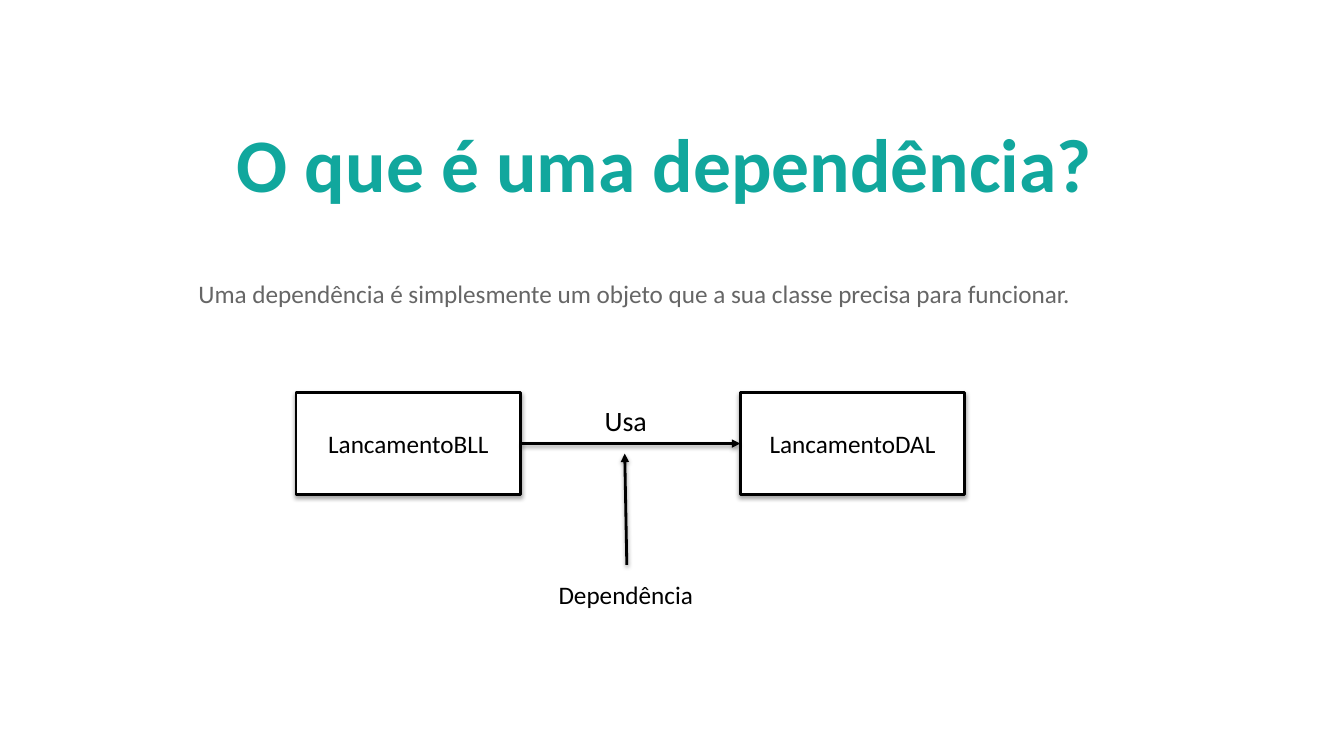
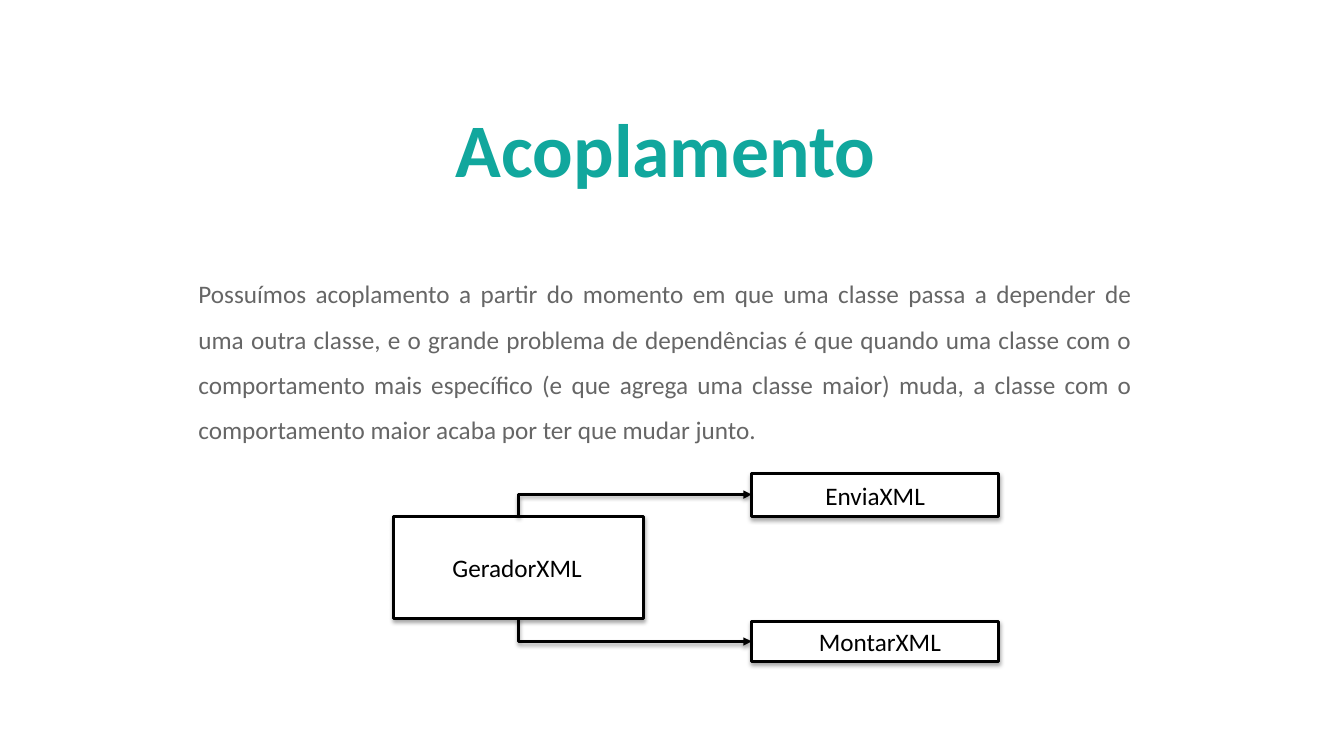
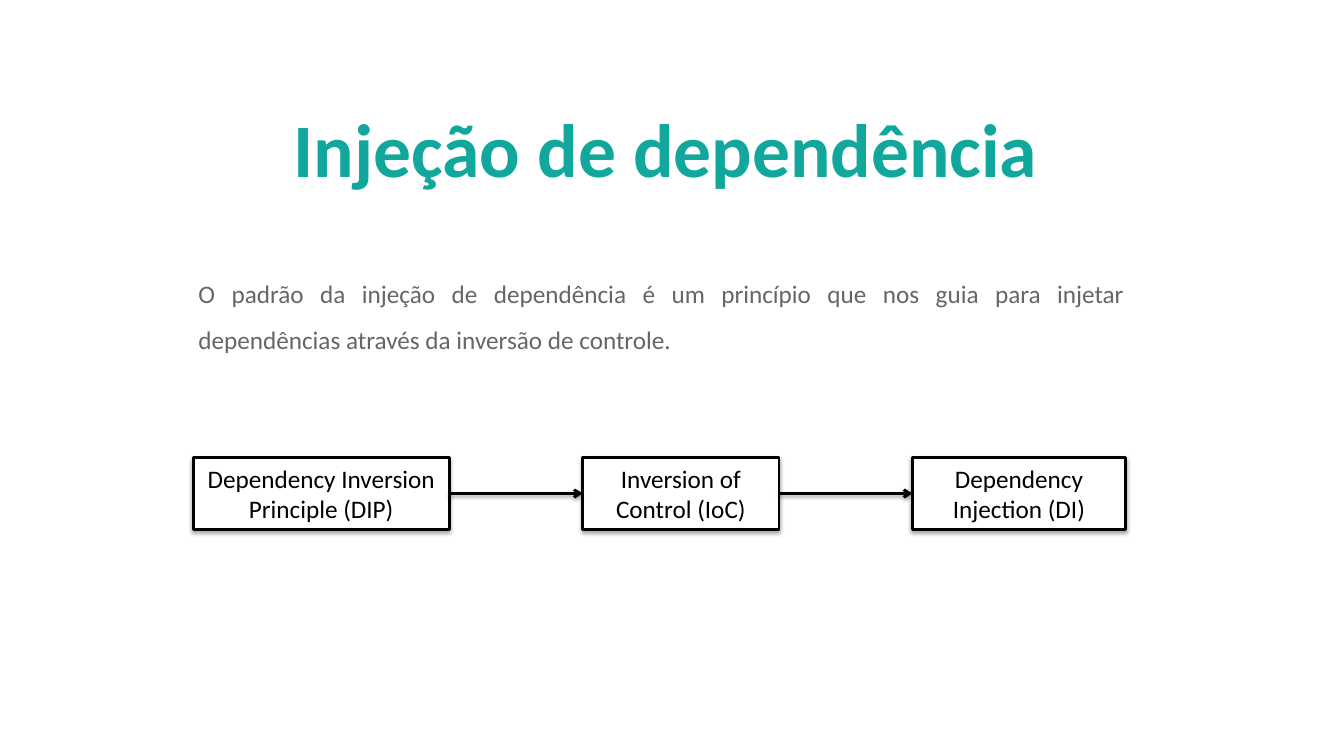
from collections import namedtuple

from pptx import Presentation
from pptx.dml.color import RGBColor
from pptx.enum.shapes import MSO_CONNECTOR as Link, MSO_SHAPE as Preset
from pptx.enum.text import MSO_ANCHOR as Anchor, MSO_AUTO_SIZE as Fit, PP_ALIGN as Align
from pptx.oxml.ns import qn
from pptx.oxml.xmlchemy import OxmlElement
from pptx.util import Pt

PX = 9525
FONT = "Calibri"
TEAL = RGBColor(0x11, 0xA7, 0x9D)
GRAY = RGBColor(0x66, 0x66, 0x66)
BLACK = RGBColor(0, 0, 0)
WHITE = RGBColor(0xFF, 0xFF, 0xFF)
INSET = 5

Box = namedtuple("Box", "left top width height")
BODY = Box(184, 246, 899, 192)
TITLE = Box(202, 80, 864, 120)


def px(*lengths):
    return [length * PX for length in lengths]


def add_node(parent, tag, **attributes):
    node = OxmlElement(tag)
    for name, value in attributes.items():
        node.set(name, str(value))
    parent.append(node)
    return node


def write(shape, text, size, color, align=Align.CENTER, anchor=Anchor.MIDDLE,
          bold=False, left=INSET, right=INSET):
    frame = shape.text_frame
    frame.word_wrap = True
    frame.auto_size = Fit.NONE
    frame.vertical_anchor = anchor
    frame.margin_left, frame.margin_right = px(left, right)
    frame.margin_top = frame.margin_bottom = INSET * PX
    para = frame.paragraphs[0]
    para.alignment = align
    span = para.add_run()
    span.text = text
    span.font.name = FONT
    span.font.size = Pt(size)
    span.font.bold = bold
    span.font.color.rgb = color
    return para


def place(shape, box):
    shape.left, shape.top, shape.width, shape.height = px(*box)


def add_page(deck, title, body, title_box=TITLE, body_box=BODY):
    page = deck.slides.add_slide(deck.slide_layouts[1])
    heading, content = page.placeholders
    place(heading, title_box)
    write(heading, title, 54, TEAL, bold=True)
    place(content, body_box)
    para = write(content, body, 18, GRAY, Align.JUSTIFY, Anchor.TOP)
    para.line_spacing = 1.5
    para.space_before = Pt(0)
    properties = para._p.get_or_add_pPr()
    properties.set("marL", "0")
    properties.set("indent", "0")
    add_node(properties, "a:buNone")
    return page


def add_shadow(effects, distance, opacity):
    shadow = add_node(effects, "a:outerShdw", blurRad=Pt(3), dist=Pt(distance),
                      dir=5400000, rotWithShape=0)
    color = add_node(shadow, "a:srgbClr", val=BLACK)
    add_node(color, "a:alpha", val=opacity * 1000)


def set_line(line):
    line.color.rgb = BLACK
    line.width = Pt(2)


def add_class(page, box, text, **insets):
    shape = page.shapes.add_shape(Preset.RECTANGLE, *px(*box))
    shape.fill.solid()
    shape.fill.fore_color.rgb = WHITE
    set_line(shape.line)
    shape.shadow.inherit = False
    add_shadow(shape.element.spPr.find(qn("a:effectLst")), 1.8, 35)
    write(shape, text, 18, BLACK, **insets)
    return shape


def add_arrow(page, start, end, kind=Link.STRAIGHT, tip="a:tailEnd", head="triangle"):
    arrow = page.shapes.add_connector(kind, *px(*start, *end))
    set_line(arrow.line)
    add_node(arrow.line._get_or_add_ln(), tip, type=head)
    add_shadow(add_node(arrow.element.spPr, "a:effectLst"), 1.6, 38)
    return arrow


def join(page, source, target, head="triangle"):
    arrow = add_arrow(page, (0, 0), (0, 0), head=head)
    arrow.begin_connect(source, 3)
    arrow.end_connect(target, 1)


def add_corner_arrow(page, corner_end, target):
    arrow = add_arrow(page, target, corner_end, Link.ELBOW, "a:headEnd")
    arrow.element.spPr.find(qn("a:prstGeom")).set("prst", "bentConnector2")


def add_label(page, axis, top, width, height, text, size):
    label = page.shapes.add_textbox(*px(axis - width // 2, top, width, height))
    write(label, text, size, BLACK, anchor=Anchor.TOP)


def draw_dependency(page, box):
    width, height = 214, 97
    user = add_class(page, Box(box.left, box.top, width, height), "LancamentoBLL")
    used = add_class(page, Box(box.left + box.width - width, box.top, width, height),
                     "LancamentoDAL")
    join(page, user, used)
    axis = box.left + box.width // 2 - 4
    add_arrow(page, (axis + 1, box.top + 164), (axis - 1, box.top + 58))
    add_label(page, axis, box.top + 173, 150, 38, "Dependência", 18)
    add_label(page, axis, box.top + 5, 60, 42, "Usa", 20)


def draw_coupling(page, box):
    generator = Box(box.left, box.top + 41, 238, 97)
    width = 235
    column = box.left + box.width - width
    sender = Box(column, box.top, width, 41)
    builder = Box(column, box.top + box.height - 38, width, 38)
    add_class(page, generator, "GeradorXML", right=8)
    add_class(page, sender, "EnviaXML")
    add_class(page, builder, "MontarXML", left=14)
    axis = generator.left + generator.width // 2
    for target, edge in ((sender, generator.top),
                         (builder, generator.top + generator.height)):
        add_corner_arrow(page, (axis, edge),
                         (target.left, target.top + target.height // 2))


def draw_chain(page, box, steps):
    gap = (box.width - sum(width for _, width in steps)) // (len(steps) - 1)
    left, previous = box.left, None
    for text, width in steps:
        step = add_class(page, Box(left, box.top, width, box.height), text)
        if previous is not None:
            join(page, previous, step, "arrow")
        left, previous = left + width + gap, step


def main():
    deck = Presentation()
    deck.slide_width, deck.slide_height = px(1280, 720)

    page = add_page(
        deck, "O que é uma dependência?",
        "Uma dependência é simplesmente um objeto que a sua classe precisa para funcionar.",
        Box(184, 95, 898, 120), BODY._replace(height=54))
    draw_dependency(page, Box(282, 374, 637, 211))

    page = add_page(
        deck, "Acoplamento",
        "Possuímos acoplamento a partir do momento em que uma classe passa a depender de "
        "uma outra classe, e o grande problema de dependências é que quando uma classe com o "
        "comportamento mais específico (e que agrega uma classe maior) muda, a classe com o "
        "comportamento maior acaba por ter que mudar junto.",
        body_box=BODY._replace(height=184))
    draw_coupling(page, Box(375, 451, 576, 179))

    page = add_page(
        deck, "Injeção de dependência",
        "O padrão da injeção de dependência é um princípio que nos guia para injetar "
        "dependências através da inversão de controle.",
        body_box=BODY._replace(width=892, height=97))
    draw_chain(page, Box(184, 436, 889, 68), (
        ("Dependency Inversion Principle (DIP)", 244),
        ("Inversion of Control (IoC)", 187),
        ("Dependency Injection (DI)", 203)))

    deck.save("out.pptx")


if __name__ == "__main__":
    main()
